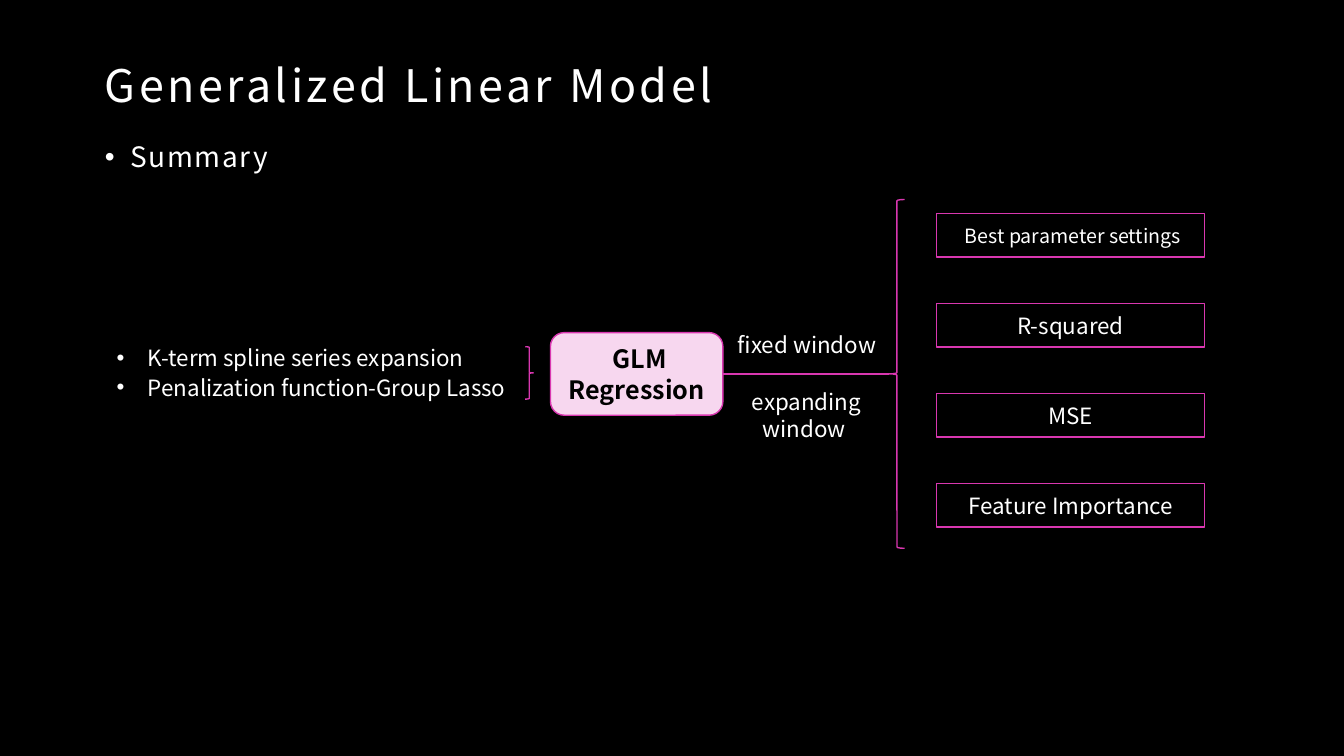
import pptx
import pptx.dml.color
import pptx.enum.shapes
import pptx.enum.text
import pptx.oxml
import pptx.oxml.ns
import pptx.util

WIDTH, HEIGHT = pptx.util.Inches(13.33), pptx.util.Inches(7.5)
FONT = "Noto Sans CJK SC"
BLACK, WHITE, PINK, PALE = "000000", "FFFFFF", "D937B0", "F7D7EF"
SHAPES = pptx.enum.shapes.MSO_SHAPE
ALIGN = pptx.enum.text.PP_ALIGN
ANCHOR = pptx.enum.text.MSO_ANCHOR


def color(value):
    return pptx.dml.color.RGBColor.from_string(value)


def area(left, top, width, height):
    """Turn percentages of the slide's width and height into lengths."""
    return (int(WIDTH * left / 100), int(HEIGHT * top / 100),
            int(WIDTH * width / 100), int(HEIGHT * height / 100))


def write(frame, text, size=16, ink=WHITE, bold=False, align=ALIGN.LEFT,
          anchor=ANCHOR.TOP, leading=1.0, tracking=0, indent=0, before=0):
    """Fill a text frame, one paragraph a line; an indent adds bullets."""
    frame.word_wrap = True
    frame.auto_size = pptx.enum.text.MSO_AUTO_SIZE.NONE
    frame.vertical_anchor = anchor
    for number, line in enumerate(text.split("\n")):
        para = frame.add_paragraph() if number else frame.paragraphs[0]
        para.alignment, para.line_spacing = align, leading
        para.space_before = pptx.util.Pt(before)
        span = para.add_run()
        span.text = line
        span.font.name, span.font.size = FONT, pptx.util.Pt(size)
        span.font.bold, span.font.color.rgb = bold, color(ink)
        if tracking:
            span.font._element.set("spc", str(int(tracking * 100)))
        if indent:
            properties = para._p.get_or_add_pPr()
            hang = pptx.util.Inches(indent)
            properties.set("marL", str(hang))
            properties.set("indent", str(-hang))
            for tag, name, value in (("buFont", "typeface", "Arial"),
                                     ("buChar", "char", "•")):
                bullet = pptx.oxml.parse_xml(
                    f'<a:{tag} {pptx.oxml.ns.nsdecls("a")} {name}="{value}"/>')
                properties.append(bullet)


def fill_placeholder(holder, place, text, **style):
    holder.left, holder.top, holder.width, holder.height = area(*place)
    frame = holder.text_frame
    frame.margin_left = frame.margin_right = frame.margin_top = pptx.util.Inches(0.12)
    frame.margin_bottom = pptx.util.Inches(0.1)
    write(frame, text, **style)


def add_text(page, place, text, **style):
    write(page.shapes.add_textbox(*area(*place)).text_frame, text, **style)


def outline(line):
    line.color.rgb = color(PINK)
    line.width = pptx.util.Pt(1)


def add_outlined(page, kind, place, text="", fill=None, **style):
    shape = page.shapes.add_shape(kind, *area(*place))
    shape.shadow.inherit = False
    outline(shape.line)
    if fill:
        shape.fill.solid()
        shape.fill.fore_color.rgb = color(fill)
    else:
        shape.fill.background()
    if text:
        write(shape.text_frame, text, align=ALIGN.CENTER,
              anchor=ANCHOR.MIDDLE, **style)
    return shape


def join(page, start, end):
    """Connect the right side of a box to the left tip of a brace."""
    line = page.shapes.add_connector(
        pptx.enum.shapes.MSO_CONNECTOR.STRAIGHT, 0, 0, 0, 0)
    line.begin_connect(start, 3)
    line.end_connect(end, 1)
    outline(line.line)
    line._element.spPr.append(pptx.oxml.parse_xml(
        f'<a:effectLst {pptx.oxml.ns.nsdecls("a")}/>'))


def main():
    deck = pptx.Presentation()
    deck.slide_width, deck.slide_height = WIDTH, HEIGHT
    page = deck.slides.add_slide(deck.slide_layouts[1])
    page.background.fill.solid()
    page.background.fill.fore_color.rgb = color(BLACK)

    # Heading
    fill_placeholder(page.shapes.title, (6.9, 5.07, 86.27, 11.2),
                     "Generalized Linear Model", size=32, leading=1.1,
                     tracking=2.5, anchor=ANCHOR.MIDDLE)
    fill_placeholder(page.placeholders[1], (6.9, 16.27, 67.44, 6.27), "Summary",
                     size=20, leading=1.14, tracking=1.2, indent=0.25, before=10)

    # Inputs
    add_text(page, (7.95, 44.53, 35.86, 10.93),
             "K-term spline series expansion\nPenalization function-Group Lasso",
             leading=1.1, indent=0.31)
    add_outlined(page, SHAPES.RIGHT_BRACE, (39.08, 45.87, 0.6, 6.93))

    # Model and its two windows
    model = add_outlined(page, SHAPES.ROUNDED_RECTANGLE, (40.96, 44, 12.83, 10.93),
                         " GLM\nRegression", fill=PALE, size=18, ink=BLACK, bold=True)
    brace = add_outlined(page, SHAPES.LEFT_BRACE, (66.17, 26.4, 1.13, 46.13))
    join(page, model, brace)
    add_text(page, (54.16, 43.2, 13.58, 4.93), "fixed window")
    add_text(page, (53.26, 50.67, 13.5, 8.67), "expanding window ",
             align=ALIGN.CENTER)

    # Results, evenly spaced
    results = ((" Best parameter settings", 14), ("R-squared", 16),
               ("MSE", 16), ("Feature Importance", 16))
    for row, (label, size) in enumerate(results):
        add_outlined(page, SHAPES.RECTANGLE, (69.69, 28.27 + 11.9 * row, 19.95, 5.73),
                     label, size=size)

    deck.save("out.pptx")


if __name__ == "__main__":
    main()
